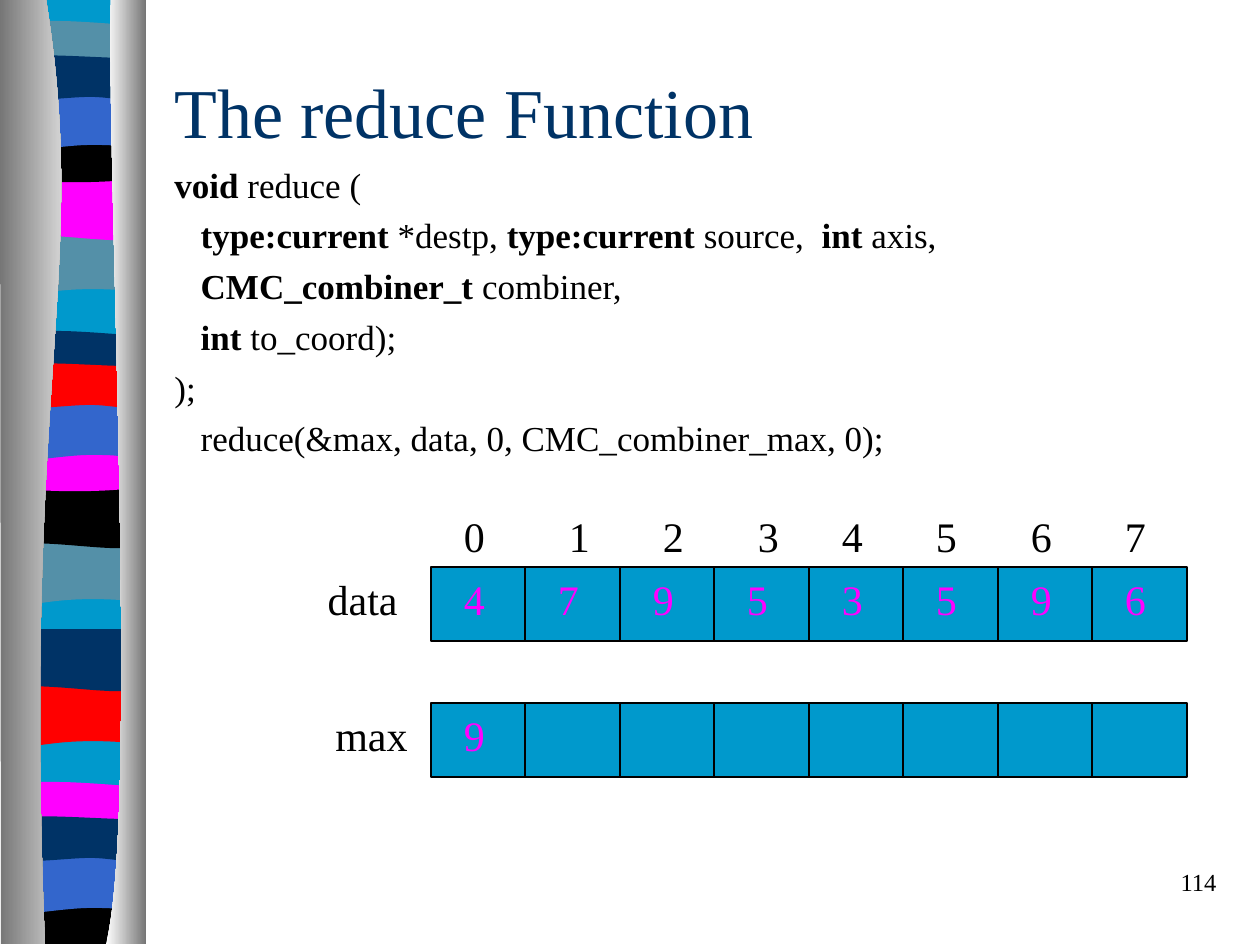
from dataclasses import dataclass

import lxml.etree
import pptx
import pptx.dml.color
import pptx.enum.shapes
import pptx.enum.text
import pptx.oxml.ns
import pptx.util

PX = 914400 / 126
FONT = "Times New Roman"
BLACK, NAVY, MAGENTA, CYAN = "000000", "003366", "FF00FF", "0099CC"
TEAL, BLUE, RED = "5490A8", "3366CC", "FF0000"
LEFT, RIGHT = pptx.enum.text.PP_ALIGN.LEFT, pptx.enum.text.PP_ALIGN.RIGHT
RIBBON_LEFT, RIBBON_W = 7, 136

# Outlines start at the first point; two numbers add a line, six add a Bézier curve.
SQUARE = [(RIBBON_W, 0), (RIBBON_W, 942), (0, 942), (0, 0)]
SWELL = [(RIBBON_W, 0), (RIBBON_W, 59), (42, 49, 23, 69, 0, 59), (0, 0)]
DIP = [(RIBBON_W, 0), (RIBBON_W, 59), (113, 69, 42, 52, 0, 59), (0, 0)]
STRIP = [(RIBBON_W, 6), (RIBBON_W, 36), (113, 42, 23, 42, 0, 36), (0, 6),
         (8, 0, 29, 1, 52, 1), (74, 1, 118, 5, RIBBON_W, 6)]
BOWL = [(RIBBON_W, 0), (RIBBON_W, 41), (113, 48, 23, 48, 0, 41), (0, 0),
        (83, 6, 107, 0, RIBBON_W, 0)]
FOOT = [(RIBBON_W, 0), (RIBBON_W, 47), (0, 47), (0, 0), (83, 6, 107, 0, RIBBON_W, 0)]
ARCH = [(RIBBON_W, 0), (RIBBON_W, 59), (115, 52, 106, 52, 83, 52),
        (60, 52, 20, 59, 0, 59), (0, 0)]
RIDGE = [(RIBBON_W, 6), (RIBBON_W, 45), (127, 52, 106, 45, 83, 45),
         (60, 45, 14, 52, 0, 45), (0, 6), (19, 0, 92, 6, 115, 6)]
LEFT_PILLAR = [(46, -1), (90, 272, 22, 373, 45, 944), (1, 944), (0, -1)]
RIGHT_PILLAR = [(111, -1), (106, 158, 140, 814, 106, 944), (146, 944), (146, 0)]


@dataclass
class Band:
    outline: list[tuple[int, ...]]
    top: int
    color: str


@dataclass
class Box:
    left: int
    top: int
    width: int
    height: int


@dataclass
class Run:
    text: str
    bold: bool = False


@dataclass
class ArrayRow:
    top: int
    values: str


BANDS = [
    Band(SQUARE, -1, CYAN),
    Band(SWELL, 233, TEAL), Band(DIP, 178, MAGENTA), Band(STRIP, 20, TEAL),
    Band(BOWL, 136, BLACK), Band(ARCH, 93, BLUE), Band(RIDGE, 52, NAVY),
    Band(SWELL, 543, TEAL), Band(DIP, 486, BLACK), Band(STRIP, 330, NAVY),
    Band(BOWL, 445, MAGENTA), Band(ARCH, 403, BLUE), Band(RIDGE, 360, RED),
    Band(SWELL, 685, RED), Band(DIP, 629, NAVY), Band(STRIP, 781, MAGENTA),
    Band(FOOT, 897, BLACK), Band(ARCH, 856, BLUE), Band(RIDGE, 813, NAVY),
]

DECLARATION = [
    [Run("void", True), Run(" reduce (")],
    [Run("   "), Run("type:current", True), Run(" *destp, "),
     Run("type:current", True), Run(" source,  "), Run("int", True), Run(" axis,")],
    [Run("   "), Run("CMC_combiner_t", True), Run(" combiner,")],
    [Run("   "), Run("int", True), Run(" to_coord);")],
    [Run(");")],
    [Run("   reduce(&max, data, 0, CMC_combiner_max, 0);")],
]

ARRAYS = [ArrayRow(567, "47953596"), ArrayRow(703, "9")]
CELL_COUNT, ARRAY_LEFT, ARRAY_W, CELL_H, DIGIT_INDENT = 8, 431, 756, 74, 33
INDEX_TABS = [105, 199, 294, 378, 472, 567, 661]


def emu(length: float) -> pptx.util.Emu:
    return pptx.util.Emu(round(length * PX))


def rgb(color: str) -> pptx.dml.color.RGBColor:
    return pptx.dml.color.RGBColor.from_string(color)


def place(box: Box) -> tuple:
    return emu(box.left), emu(box.top), emu(box.width), emu(box.height)


def add_outline(slide, outline: list[tuple[int, ...]], left: int = 0, top: int = 0):
    """Build the outline through all its points, then bend the six-number steps."""
    points = [(emu(step[i] + left), emu(step[i + 1] + top))
              for step in outline for i in range(0, len(step), 2)]
    builder = slide.shapes.build_freeform(*points[0], scale=1.0)
    builder.add_line_segments(points[1:], close=True)
    shape = builder.convert_to_shape()
    shape.shadow.inherit = False
    shape.line.fill.background()
    lines = iter(list(shape._element.iter(pptx.oxml.ns.qn("a:lnTo"))))
    for step in outline[1:]:
        first = next(lines)
        if len(step) == 6:
            curve = lxml.etree.Element(pptx.oxml.ns.qn("a:cubicBezTo"))
            first.addprevious(curve)
            for line in (first, next(lines), next(lines)):
                curve.append(line[0])
                line.getparent().remove(line)
    return shape


def add_band(slide, band: Band) -> None:
    shape = add_outline(slide, band.outline, RIBBON_LEFT, band.top)
    shape.fill.solid()
    shape.fill.fore_color.rgb = rgb(band.color)


def add_pillar(slide, outline: list[tuple[int, ...]], colors: tuple[str, str]) -> None:
    """Draw a pillar shaded from left to right."""
    fill = add_outline(slide, outline).fill
    fill.gradient()
    fill.gradient_angle = 0
    for stop, color in zip(fill.gradient_stops, colors):
        stop.color.rgb = rgb(color)


def add_run(paragraph, run: Run, size: int, color: str) -> None:
    text = paragraph.add_run()
    text.text = run.text
    text.font.name, text.font.size, text.font.bold = FONT, pptx.util.Pt(size), run.bold
    text.font.color.rgb = rgb(color)


def add_text(slide, box: Box, lines: list[list[Run]], size: int, align=LEFT):
    frame = slide.shapes.add_textbox(*place(box)).text_frame
    frame.word_wrap = True
    for i, line in enumerate(lines):
        paragraph = frame.add_paragraph() if i else frame.paragraphs[0]
        paragraph.alignment = align
        if i:
            paragraph.space_before = pptx.util.Pt(5)
        for run in line:
            add_run(paragraph, run, size, BLACK)
    return frame


def add_indices(slide) -> None:
    """Write the index digits on one line with a tab stop for each."""
    digits = [[Run("\t".join(str(i) for i in range(CELL_COUNT)))]]
    frame = add_text(slide, Box(410, 504, 819, 63), digits, 24)
    frame.margin_left = emu(54)
    properties = frame.paragraphs[0]._p.get_or_add_pPr()
    tabs = lxml.etree.SubElement(properties, pptx.oxml.ns.qn("a:tabLst"))
    for position in INDEX_TABS:
        lxml.etree.SubElement(tabs, pptx.oxml.ns.qn("a:tab"),
                              pos=str(emu(position)), algn="l")


def add_array(slide, row: ArrayRow) -> None:
    for i, digit in enumerate(row.values.ljust(CELL_COUNT)):
        left, right = (ARRAY_LEFT + ARRAY_W * n // CELL_COUNT for n in (i, i + 1))
        cell = slide.shapes.add_shape(pptx.enum.shapes.MSO_SHAPE.RECTANGLE,
                                      *place(Box(left, row.top, right - left, CELL_H)))
        cell.shadow.inherit = False
        cell.fill.solid()
        cell.fill.fore_color.rgb = rgb(CYAN)
        cell.line.color.rgb = rgb(BLACK)
        cell.line.width = pptx.util.Pt(0.75)
        if digit.isdigit():
            frame = cell.text_frame
            frame.vertical_anchor = pptx.enum.text.MSO_ANCHOR.TOP
            frame.margin_left, frame.margin_right = emu(DIGIT_INDENT), 0
            frame.paragraphs[0].alignment = LEFT
            add_run(frame.paragraphs[0], Run(digit), 24, MAGENTA)


def main() -> None:
    deck = pptx.Presentation()
    deck.slide_width, deck.slide_height = emu(1260), emu(945)
    slide = deck.slides.add_slide(deck.slide_layouts[5])

    for band in BANDS:
        add_band(slide, band)
    add_pillar(slide, LEFT_PILLAR, ("767676", "FFFFFF"))
    add_pillar(slide, RIGHT_PILLAR, ("FFFFFF", "767676"))

    title = slide.shapes.title
    title.left, title.top, title.width, title.height = place(Box(162, 63, 1071, 95))
    heading = title.text_frame.paragraphs[0]
    heading.alignment = LEFT
    add_run(heading, Run("The reduce Function"), 40, NAVY)

    add_text(slide, Box(162, 157, 1071, 683), DECLARATION, 20)
    add_indices(slide)
    for row in ARRAYS:
        add_array(slide, row)
    add_text(slide, Box(273, 567, 137, 63), [[Run("data")]], 24, RIGHT)
    add_text(slide, Box(105, 703, 315, 63), [[Run("max")]], 24, RIGHT)
    add_text(slide, Box(966, 861, 263, 63), [[Run("114")]], 14, RIGHT)
    deck.save("out.pptx")


if __name__ == "__main__":
    main()
